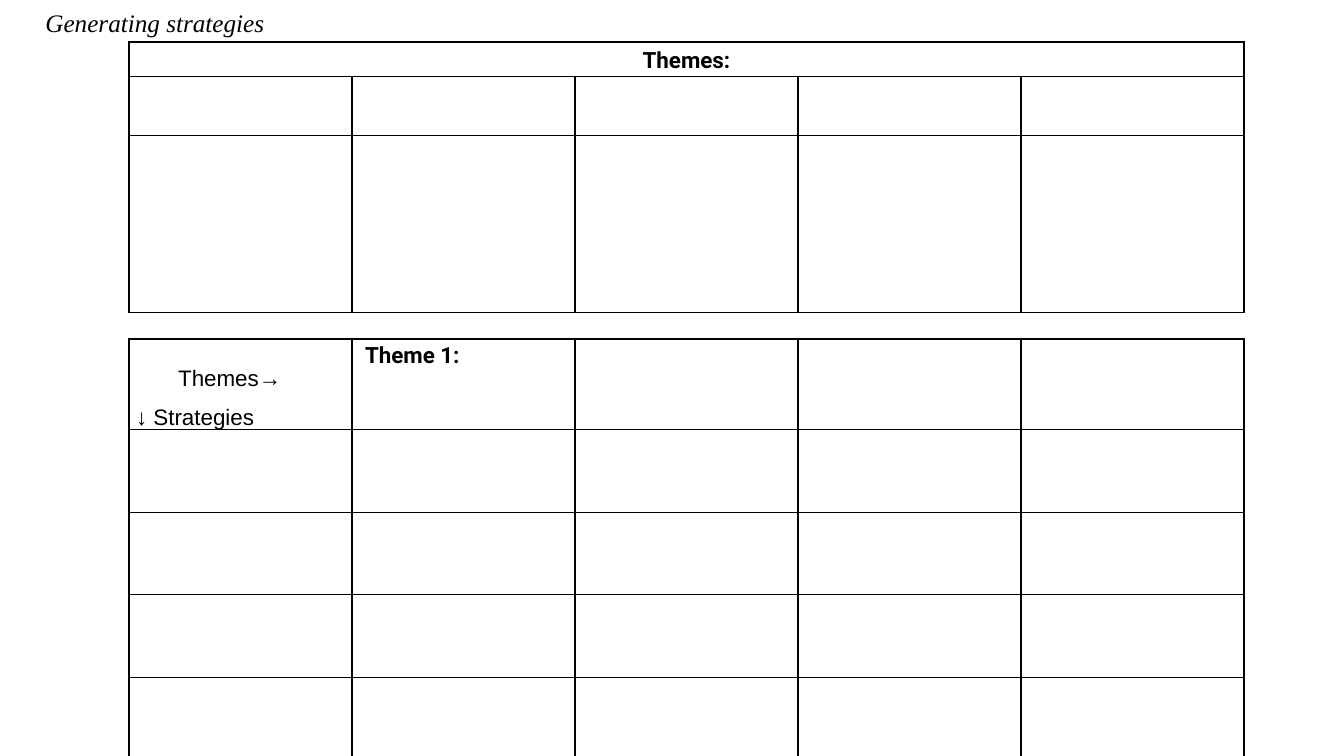
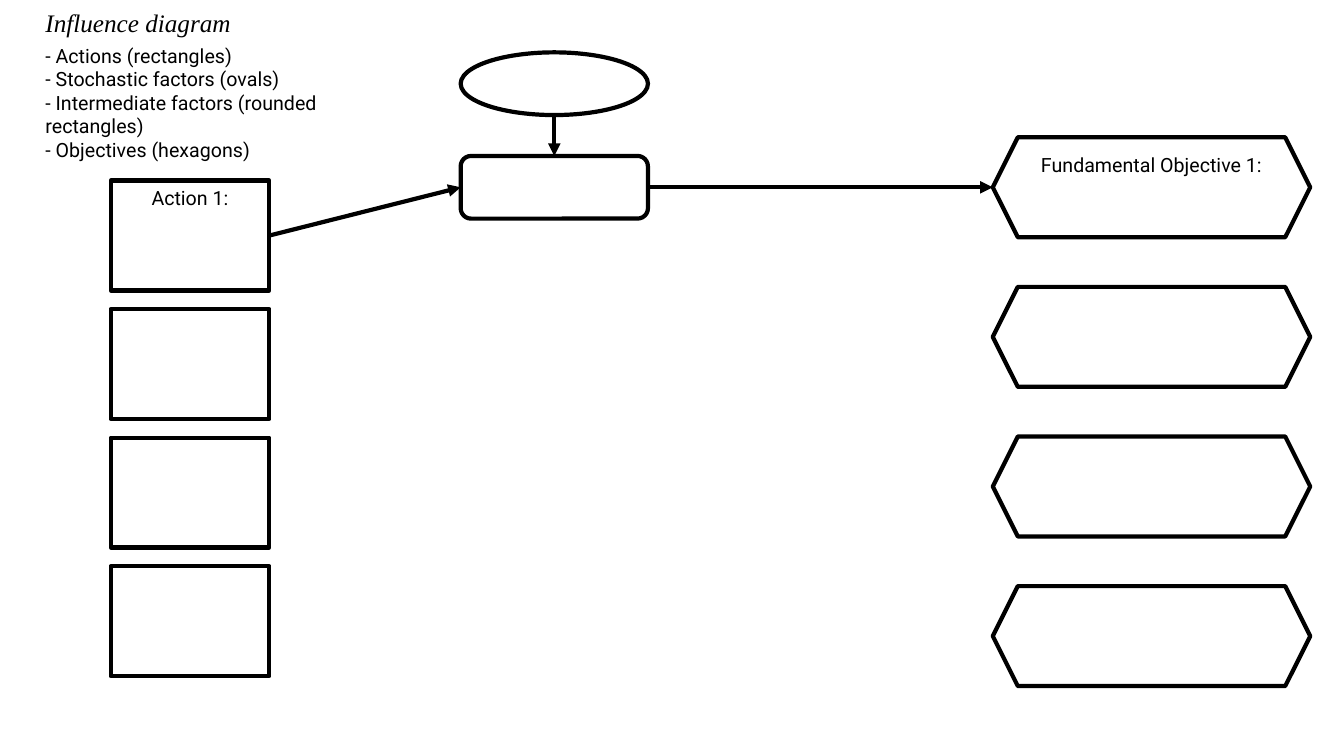
import pptx
import pptx.dml.color
import pptx.enum.shapes
import pptx.enum.text
import pptx.oxml
import pptx.oxml.ns
import pptx.util

Cm, Pt = pptx.util.Cm, pptx.util.Pt
MSO = pptx.enum.shapes.MSO_SHAPE
ANCHOR = pptx.enum.text.MSO_ANCHOR
ALIGN = pptx.enum.text.PP_ALIGN
NSDECLS = pptx.oxml.ns.nsdecls("a")

# Shared look
BLACK = pptx.dml.color.RGBColor(0, 0, 0)
WHITE = pptx.dml.color.RGBColor(255, 255, 255)
LINE_WIDTH = Pt(3)
TITLE = {"name": "Times New Roman", "size": Pt(18), "italic": True, "bold": False}
BODY = {"name": "Roboto", "size": Pt(14)}
HEADING = {"name": "Roboto", "size": Pt(16), "bold": True}
AXIS = {"name": "Arial", "size": Pt(16), "bold": False}

# Table grid
COLS = 5
TABLE_LEFT, COL_WIDTH = Cm(3.25), Cm(5.62)
CELL_PAD = Cm(0.18)


def element(xml):
    return pptx.oxml.parse_xml(xml)


def write(p, text, fmt, align=ALIGN.LEFT):
    """Put one formatted run into a paragraph."""
    p.alignment = align
    r = p.add_run()
    r.text = text
    for key, value in fmt.items():
        setattr(r.font, key, value)
    r.font.color.rgb = BLACK


def place(sp, left, top, width, height):
    sp.left, sp.top, sp.width, sp.height = left, top, width, height
    tf = sp.text_frame
    tf.word_wrap = True
    tf.auto_size = pptx.enum.text.MSO_AUTO_SIZE.NONE
    tf.vertical_anchor = ANCHOR.TOP
    return tf


def add_slide(prs, layout, title):
    s = prs.slides.add_slide(prs.slide_layouts[layout])
    tf = place(s.shapes.title, Cm(0.89), Cm(0.05), Cm(7.8), Cm(1.02))
    write(tf.paragraphs[0], title, TITLE)
    return s


# Tables
def format_cell(cell):
    tcPr = cell._tc.get_or_add_tcPr()
    for side in ("lnL", "lnR", "lnT", "lnB"):
        tcPr.append(element(
            f'<a:{side} {NSDECLS} w="12700"><a:solidFill>'
            f'<a:srgbClr val="{BLACK}"/></a:solidFill></a:{side}>'))
    cell.fill.solid()
    cell.fill.fore_color.rgb = WHITE
    cell.margin_left = cell.margin_right = CELL_PAD
    cell.margin_top = cell.margin_bottom = 0


def add_grid(s, top, heights):
    frame = s.shapes.add_table(len(heights), COLS, TABLE_LEFT, top,
                               COL_WIDTH * COLS, sum(heights))
    table = frame.table
    table.first_row = table.horz_banding = False
    for row, height in zip(table.rows, heights):
        row.height = height
    for col in table.columns:
        col.width = COL_WIDTH
    for cell in table.iter_cells():
        format_cell(cell)
    return table


def add_themes_table(s, top):
    table = add_grid(s, top, [Cm(0.87), Cm(1.49), Cm(4.46)])
    cell = table.cell(0, 0)
    cell.merge(table.cell(0, COLS - 1))
    cell.vertical_anchor = ANCHOR.MIDDLE
    p = cell.text_frame.paragraphs[0]
    p.line_spacing = 1.15
    write(p, "Themes:", HEADING, ALIGN.CENTER)


def add_strategies_table(s, top):
    table = add_grid(s, top, [Cm(2.29)] + [Cm(2.08)] * 4)

    # Corner cell naming both axes
    corner = table.cell(0, 0)
    corner.vertical_anchor = ANCHOR.BOTTOM
    tf = corner.text_frame
    p = tf.paragraphs[0]
    p._p.get_or_add_pPr().set("marL", str(Cm(1.06)))
    write(p, "Themes→", AXIS)
    p = tf.add_paragraph()
    p.space_before = Pt(10)
    write(p, "↓ Strategies", AXIS)

    # First theme
    cell = table.cell(0, 1)
    cell.margin_left = CELL_PAD + Cm(0.15)
    p = cell.text_frame.paragraphs[0]
    p.line_spacing = 1.15
    write(p, "Theme 1:", HEADING)


# Influence diagram
def add_legend(s, left, top, width, height):
    tf = place(s.placeholders[1], left, top, width, height)
    lines = ["- Actions (rectangles)", "- Stochastic factors (ovals)",
             "- Intermediate factors (rounded rectangles)",
             "- Objectives (hexagons)"]
    for i, line in enumerate(lines):
        p = tf.add_paragraph() if i else tf.paragraphs[0]
        pPr = p._p.get_or_add_pPr()
        pPr.set("marL", "0")
        pPr.set("indent", "0")
        pPr.append(element(f"<a:buNone {NSDECLS}/>"))
        p.space_before = Pt(0)
        write(p, line, BODY)


def add_node(s, kind, left, top, width, height, text=""):
    sp = s.shapes.add_shape(kind, left, top, width, height)
    sp.shadow.inherit = False
    sp.fill.background()
    sp.line.color.rgb = BLACK
    sp.line.width = LINE_WIDTH
    tf = place(sp, left, top, width, height)
    if text:
        write(tf.paragraphs[0], text, BODY, ALIGN.CENTER)
    return sp


def add_column(s, kind, left, top, width, height, pitch, label):
    """Stack four equal nodes; only the first is labelled."""
    return [add_node(s, kind, left, top + i * pitch, width, height,
                     "" if i else label) for i in range(4)]


def edge(sp, side):
    """Midpoint of one side of a shape."""
    x, y = sp.left + sp.width // 2, sp.top + sp.height // 2
    return {"left": (sp.left, y), "right": (sp.left + sp.width, y),
            "top": (x, sp.top), "bottom": (x, sp.top + sp.height)}[side]


def add_arrow(s, start, end):
    line = s.shapes.add_connector(pptx.enum.shapes.MSO_CONNECTOR.STRAIGHT,
                                  *start, *end)
    line.line.color.rgb = BLACK
    line.line.width = LINE_WIDTH
    line.line._get_or_add_ln().append(
        element(f'<a:tailEnd {NSDECLS} type="triangle"/>'))
    line._element.spPr.append(element(f"<a:effectLst {NSDECLS}/>"))


def add_diagram(s):
    actions = add_column(s, MSO.RECTANGLE, Cm(2.79), Cm(4.55), Cm(4),
                         Cm(2.77), Cm(3.24), "Action 1:")
    objectives = add_column(s, MSO.HEXAGON, Cm(25.02), Cm(3.46), Cm(8),
                            Cm(2.52), Cm(3.77), "Fundamental Objective 1:")
    oval, factor = [
        add_node(s, kind, Cm(11.61), top, Cm(4.72), Cm(1.58))
        for kind, top in ((MSO.OVAL, Cm(1.32)),
                          (MSO.ROUNDED_RECTANGLE, Cm(3.93)))]
    add_arrow(s, edge(actions[0], "right"), edge(factor, "left"))
    add_arrow(s, edge(oval, "bottom"), edge(factor, "top"))
    add_arrow(s, edge(factor, "right"), edge(objectives[0], "left"))


def main():
    prs = pptx.Presentation()
    prs.slide_width, prs.slide_height = Cm(33.87), Cm(19.05)

    s = add_slide(prs, 5, "Generating strategies")
    add_themes_table(s, Cm(1.06))
    add_strategies_table(s, Cm(8.54))

    s = add_slide(prs, 1, "Influence diagram")
    add_legend(s, Cm(0.89), Cm(0.97), Cm(9.7), Cm(3.2))
    add_diagram(s)

    prs.save("out.pptx")


if __name__ == "__main__":
    main()
